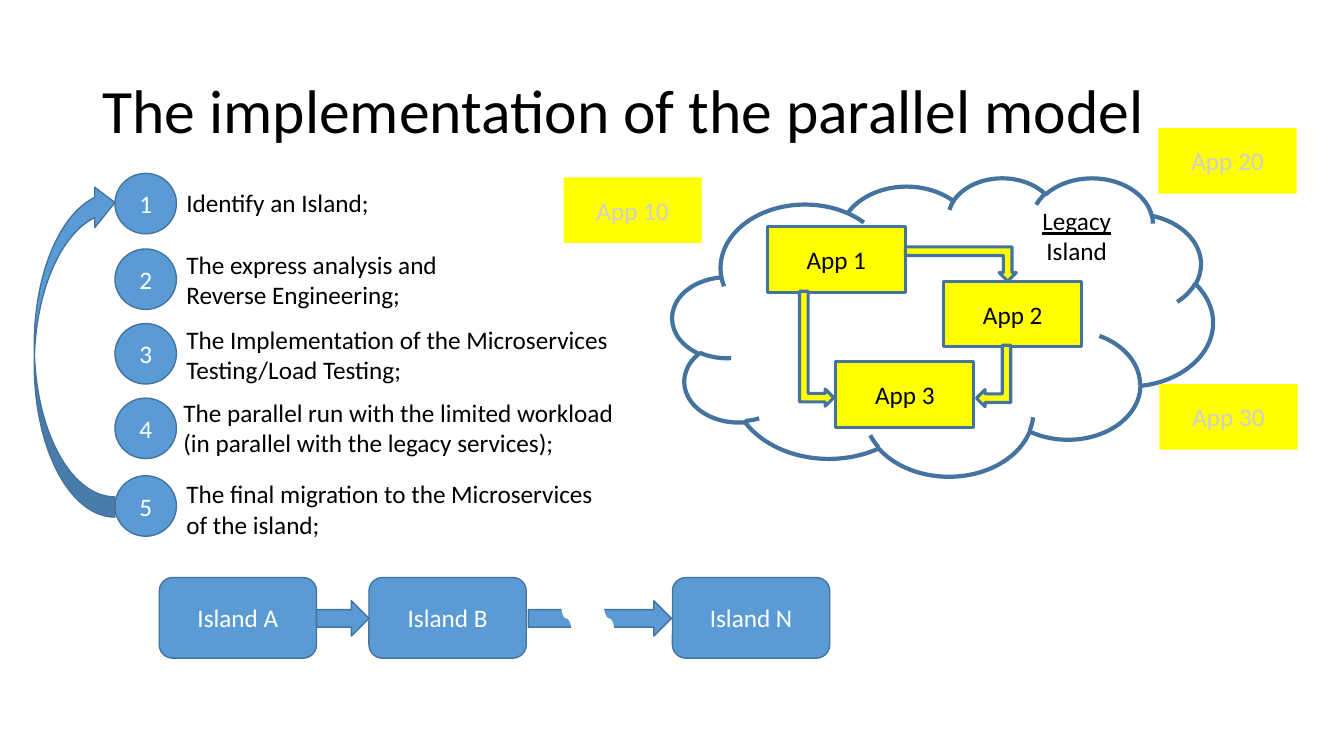
from pptx import Presentation
from pptx.dml.color import RGBColor
from pptx.enum.shapes import MSO_SHAPE
from pptx.enum.text import MSO_ANCHOR, PP_ALIGN
from pptx.util import Inches, Pt

RECT = MSO_SHAPE.RECTANGLE
ROUNDED = MSO_SHAPE.ROUNDED_RECTANGLE
OVAL = MSO_SHAPE.OVAL
CLOUD = MSO_SHAPE.CLOUD
BENT_ARROW = MSO_SHAPE.BENT_UP_ARROW
CURVED_ARROW = MSO_SHAPE.CURVED_DOWN_ARROW
RIGHT_ARROW = MSO_SHAPE.RIGHT_ARROW
TAPE = MSO_SHAPE.FLOWCHART_PUNCHED_TAPE
MIDDLE = MSO_ANCHOR.MIDDLE
CENTER = PP_ALIGN.CENTER

COLORS = {
    "black": "000000",
    "white": "FFFFFF",
    "yellow": "FFFF00",
    "blue": "5B9BD5",
    "outline": "43739E",
    "gray": "D0CECE",
}

deck = Presentation()
deck.slide_width = Inches(13.33)
deck.slide_height = Inches(7.5)
page = deck.slides.add_slide(deck.slide_layouts[6])


def write(box, lines, color="black", size=18, align=None, underline=None):
    frame = box.text_frame
    for index, line in enumerate(lines):
        para = frame.paragraphs[0] if index == 0 else frame.add_paragraph()
        para.alignment = align
        span = para.add_run()
        span.text = line
        span.font.name = "Calibri"
        span.font.size = Pt(size)
        span.font.underline = underline
        span.font.color.rgb = RGBColor.from_string(COLORS[color])


def add_block(kind, place, fill=None, line=None, text=None, color="white", rotation=0):
    shape = page.shapes.add_shape(kind, *[Inches(value) for value in place])
    shape.shadow.inherit = False
    shape.rotation = rotation
    if fill:
        shape.fill.solid()
        shape.fill.fore_color.rgb = RGBColor.from_string(COLORS[fill])
    else:
        shape.fill.background()
    if line:
        shape.line.color.rgb = RGBColor.from_string(COLORS["outline"])
        shape.line.width = Pt(line)
    else:
        shape.line.fill.background()
    if text:
        shape.text_frame.vertical_anchor = MIDDLE
        write(shape, [text], color, align=CENTER)
    return shape


title = page.shapes.add_textbox(Inches(0.92), Inches(0.4), Inches(11.5), Inches(1.45))
title.text_frame.word_wrap = True
title.text_frame.vertical_anchor = MIDDLE
write(title, ["The implementation of the parallel model"], size=44)
title.text_frame.paragraphs[0].line_spacing = 0.9

for name, left, top in [("App 1", 7.61, 2.25), ("App 3", 8.29, 3.59), ("App 2", 9.36, 2.79)]:
    add_block(RECT, (left, top, 1.37, 0.65), "yellow", 2.25, name, "black")

add_block(CLOUD, (6.67, 1.76, 5.36, 2.96), line=3)

for place, rotation, flipped in [
    ((8.98, 2.45, 1.1, 0.34), 0, True),
    ((9.55, 3.56, 0.61, 0.34), 90, True),
    ((7.53, 3.29, 1.14, 0.34), 90, False),
]:
    arrow = add_block(BENT_ARROW, place, "yellow", 2.25, rotation=rotation)
    if flipped:
        arrow._element.spPr.get_or_add_xfrm().set("flipV", "1")

for name, left, top in [("App 10", 5.59, 1.76), ("App 20", 11.49, 1.27), ("App 30", 11.5, 3.81)]:
    add_block(RECT, (left, top, 1.37, 0.65), "yellow", text=name, color="gray")

for word, left, top, width, underline in [
    ("Legacy", 10.24, 1.99, 0.89, True),
    ("Island", 10.28, 2.29, 0.81, None),
]:
    label = page.shapes.add_textbox(Inches(left), Inches(top), Inches(width), Inches(0.4))
    label.text_frame.word_wrap = False
    write(label, [word], underline=underline)

steps = [
    (1.72, 1.75, 1.81, 2.03, ["Identify an Island;"]),
    (2.47, 1.75, 2.42, 2.77, ["The express analysis and", "Reverse Engineering;"]),
    (3.21, 1.75, 3.17, 4.43, ["The Implementation of the Microservices", "Testing/Load Testing;"]),
    (3.95, 1.72, 3.89, 4.52, ["The parallel run with the limited workload",
                              "(in parallel with the legacy services);"]),
    (4.72, 1.75, 4.7, 4.34, ["The final migration to the Microservices", "of the island;"]),
]
for number, (circle_top, left, top, width, lines) in enumerate(steps, 1):
    add_block(OVAL, (1.14, circle_top, 0.61, 0.6), "blue", 1, str(number))
    height = 0.1 + 0.3 * len(lines)
    box = page.shapes.add_textbox(Inches(left), Inches(top), Inches(width), Inches(height))
    box.text_frame.word_wrap = False
    write(box, lines)

add_block(CURVED_ARROW, (-0.92, 3.07, 3.32, 0.8), "blue", 1, rotation=270)

for name, left in [("Island A", 1.58), ("Island B", 3.66), ("Island N", 6.67)]:
    add_block(ROUNDED, (left, 5.73, 1.56, 0.8), "blue", 1, name)

for left, width in [(3.14, 0.52), (5.24, 1.42)]:
    add_block(RIGHT_ARROW, (left, 5.96, width, 0.35), "blue", 1)
add_block(TAPE, (5.54, 5.87, 0.58, 0.53), "white", rotation=270)

deck.save("out.pptx")
